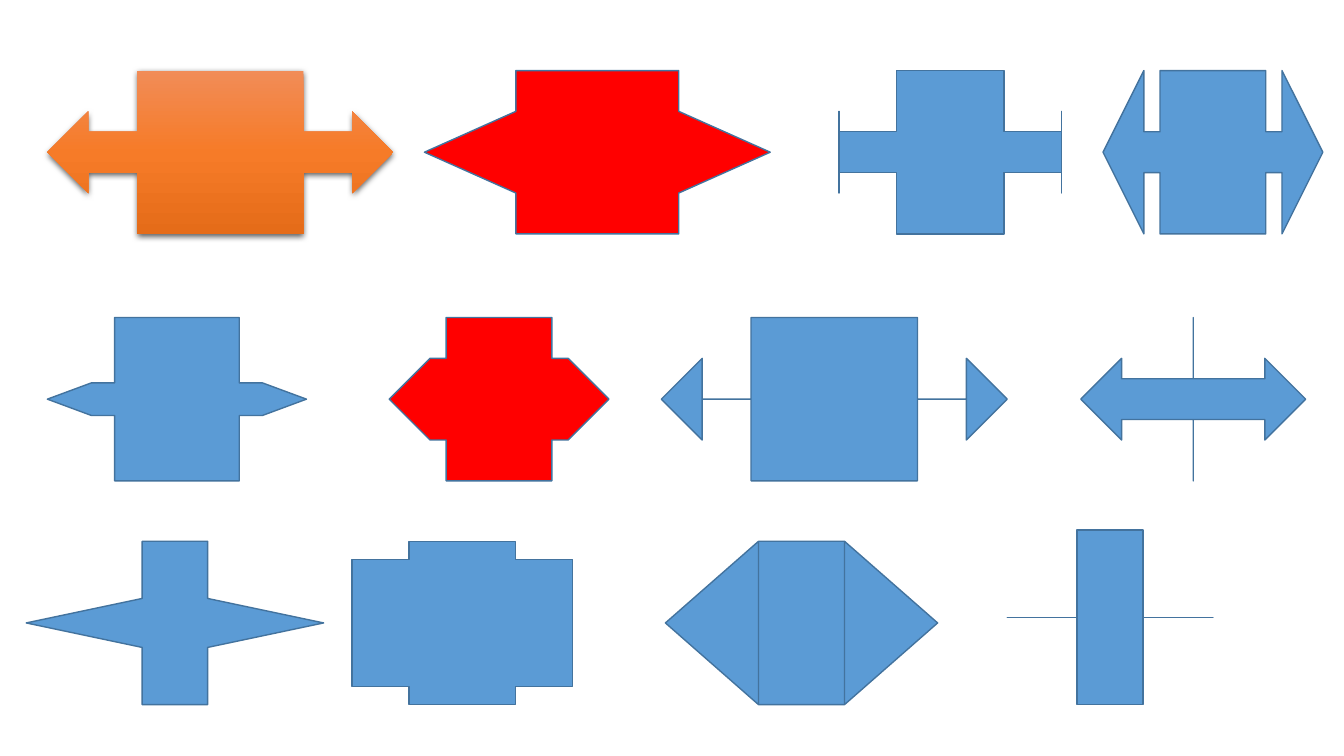
"""Build a slide of left-right arrow callouts with varied proportions."""
from copy import deepcopy

from lxml import etree
from pptx import Presentation
from pptx import util as u
from pptx.dml import color
from pptx.enum import shapes
from pptx.oxml import ns

BLUE, RED, OUTLINE = "5B9BD5", "FF0000", "43739E"
ORANGE_STOPS = [(0, "F18C57"), (0.5, "F67B28"), (1, "E56C19")]
HEIGHT = 1.62
ROWS = [
    (0.7, [
        (4.21, 3.43, RED, (0.5, 0.25, 0.56)),
        (8.32, 2.21, BLUE, (0.25, 0.25, 0)),
        (10.94, 2.18, BLUE, (0.25, 0.5, 0.25)),
    ]),
    (3.15, [
        (0.47, 2.57, BLUE, (0.2, 0.1, 0.27)),
        (3.86, 2.18, RED, (0.5, 0.25, 0.25)),
        (6.56, 3.43, BLUE, (0, 0.25, 0.25)),
        (10.72, 2.23, BLUE, (0.25, 0.25, 0.25, 0)),
    ]),
    (5.37, [
        (0.26, 2.95, BLUE, (0.5, 0.15, 0.71)),
        (3.49, 2.19, BLUE, (0.78, 0.39, 0)),
        (6.6, 2.7, BLUE, (0, 0.5, 0.57)),
    ]),
]


def rgb(code):
    return color.RGBColor.from_string(code)


class CalloutSlide:
    def __init__(self, presentation):
        self.slide = presentation.slides.add_slide(presentation.slide_layouts[6])
        self.line_width = u.Pt(1)

    def callout(self, left, top, width, height, proportions=()):
        callout = self.slide.shapes.add_shape(
            shapes.MSO_SHAPE.LEFT_RIGHT_ARROW_CALLOUT,
            *(u.Inches(length) for length in (left, top, width, height)))
        callout.shadow.inherit = False
        for index, proportion in enumerate(proportions):
            callout.adjustments[index] = proportion
        return callout

    def flat_callout(self, left, top, width, height, fill, proportions):
        callout = self.callout(left, top, width, height, proportions)
        callout.fill.solid()
        callout.fill.fore_color.rgb = rgb(fill)
        callout.line.color.rgb = rgb(OUTLINE)
        callout.line.width = self.line_width

    def glossy_callout(self, left, top, width, height, stops):
        callout = self.callout(left, top, width, height)
        callout.line.fill.background()
        callout.fill.gradient()
        callout.fill.gradient_angle = 270
        properties = callout._element.spPr
        stop_list = properties.find(".//" + ns.qn("a:gsLst"))
        stop_list.append(deepcopy(stop_list[-1]))
        for stop, (position, code) in zip(callout.fill.gradient_stops, stops):
            stop.position = position
            stop.color.rgb = rgb(code)
        self.drop_shadow(properties)

    def drop_shadow(self, properties):
        effects = properties.find(ns.qn("a:effectLst"))
        shadow = etree.SubElement(
            effects, ns.qn("a:outerShdw"), blurRad=str(u.Pt(4.5)),
            dist=str(u.Pt(1.5)), dir="5400000", algn="ctr", rotWithShape="0")
        black = etree.SubElement(shadow, ns.qn("a:srgbClr"), val="000000")
        etree.SubElement(black, ns.qn("a:alpha"), val="63000")


def main():
    presentation = Presentation()
    presentation.slide_width = u.Inches(13.33)
    presentation.slide_height = u.Inches(7.5)
    gallery = CalloutSlide(presentation)
    gallery.glossy_callout(0.47, 0.7, 3.43, HEIGHT, ORANGE_STOPS)
    for top, callouts in ROWS:
        for left, width, fill, proportions in callouts:
            gallery.flat_callout(left, top, width, HEIGHT, fill, proportions)
    gallery.flat_callout(9.99, 5.26, 2.04, 1.73, BLUE, (0.5, 0, 0.4))
    presentation.save("out.pptx")


if __name__ == "__main__":
    main()
